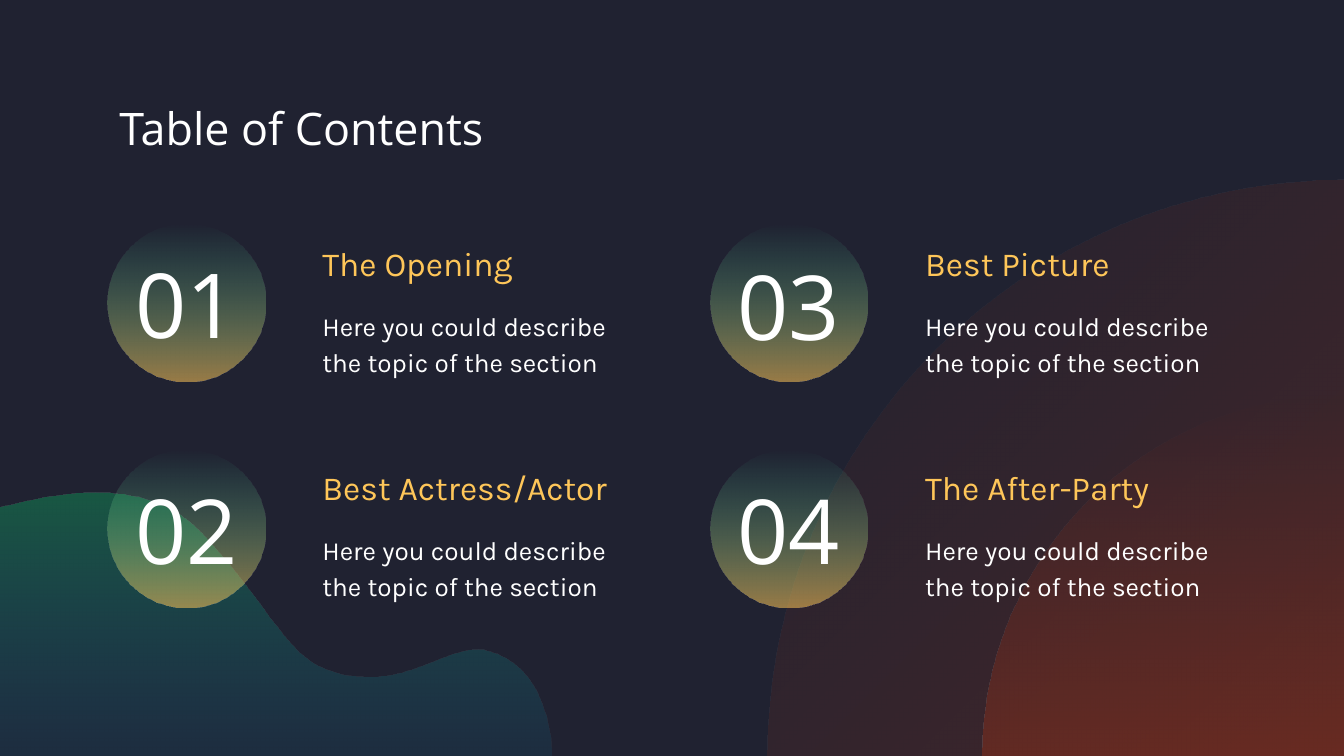
import math
from dataclasses import dataclass

import lxml.etree
import pptx
import pptx.dml.color
import pptx.enum.shapes
import pptx.enum.text
import pptx.oxml.ns
import pptx.util

Pt = pptx.util.Pt
qn = pptx.oxml.ns.qn
Align = pptx.enum.text.PP_ALIGN
Anchor = pptx.enum.text.MSO_ANCHOR
Point = tuple[float, float]


@dataclass(frozen=True)
class TextStyle:
    font: str
    size: float
    color: str
    align: Align = Align.LEFT
    anchor: Anchor = Anchor.TOP
    line_spacing: float = 1.0
    space_after: float = 0


@dataclass(frozen=True)
class Stop:
    color: str
    opacity: int  # percent


@dataclass(frozen=True)
class Gradient:
    start: Stop
    end: Stop
    angle: float  # counter-clockwise, 90 runs from bottom to top


@dataclass(frozen=True)
class Theme:
    background: str = "202231"
    title: TextStyle = TextStyle("Open Sans", 24, "FFFFFF")
    number: TextStyle = TextStyle("Open Sans", 48, "FFFFFF", Align.CENTER, Anchor.MIDDLE)
    heading: TextStyle = TextStyle("Karla", 18, "FEC659", line_spacing=1.15, space_after=16)
    body: TextStyle = TextStyle("Karla", 14, "FFFFFF", line_spacing=1.15, space_after=16)
    badge: Gradient = Gradient(Stop("FEC659", 55), Stop("4AFFC3", 0), 90)
    outer_disc: Gradient = Gradient(Stop("9C3218", 30), Stop("9C3218", 0), 135)
    inner_disc: Gradient = Gradient(Stop("9C3218", 42), Stop("9C3218", 0), 90)
    wave: Gradient = Gradient(Stop("0AC668", 33), Stop("0A94C6", 10), 270)


@dataclass(frozen=True)
class Curve:
    control_1: Point
    control_2: Point
    end: Point


@dataclass(frozen=True)
class Section:
    number: str
    heading: str
    column: int
    row: int
    number_height: float = 87
    body: str = "Here you could describe the topic of the section"


THEME = Theme()
WIDTH, HEIGHT = 720, 405
INSET = 7.2
LEFT, TOP = 57, 119.7
COLUMN_PITCH, ROW_PITCH, BADGE_PITCH = 322.9, 120.2, 121.2
BADGE_SIZE = 84.5

SECTIONS = [
    Section("03", "Best Picture", 1, 0),
    Section("04", "The After-Party", 1, 1),
    Section("01", "The Opening", 0, 0, number_height=85),
    Section("02", "Best Actress/Actor", 0, 1),
]

# Wave outline, from its crest along the right slope to the bottom edge
WAVE_CREST = (51.1, 264)
WAVE_SLOPE = [
    Curve((72, 264), (92.2, 269.3), (107.3, 285.1)),
    Curve((153.4, 334.8), (152.6, 357.8), (190.1, 362.2)),
    Curve((193, 362.6), (195.5, 362.7), (198, 362.7)),
    Curve((223.2, 362.7), (238.3, 347.8), (255.6, 347.8)),
    Curve((260, 347.8), (265, 349.2), (270, 352.1)),
    Curve((295.4, 365.8), (295.4, HEIGHT), (295.4, HEIGHT)),
]
WAVE_RISE = Curve((16, 267.8), (34, 264), WAVE_CREST)


def rgb(color: str) -> pptx.dml.color.RGBColor:
    return pptx.dml.color.RGBColor.from_string(color)


def paint(shape, gradient: Gradient) -> None:
    """Fill a shape with a two-stop translucent gradient, without outline."""
    shape.shadow.inherit = False
    shape.line.fill.background()
    shape.fill.gradient()
    shape.fill.gradient_angle = gradient.angle
    stops = (gradient.start, gradient.end)
    for target, stop in zip(shape.fill.gradient_stops, stops):
        target.color.rgb = rgb(stop.color)
    for color, stop in zip(shape._element.spPr.iter(qn("a:srgbClr")), stops):
        lxml.etree.SubElement(color, qn("a:alpha"), val=str(stop.opacity * 1000))


def write(box, text: str, style: TextStyle) -> None:
    frame = box.text_frame
    frame.word_wrap = True
    frame.auto_size = pptx.enum.text.MSO_AUTO_SIZE.NONE
    frame.vertical_anchor = style.anchor
    frame.margin_left = frame.margin_right = Pt(INSET)
    frame.margin_top = frame.margin_bottom = Pt(INSET)
    para = frame.paragraphs[0]
    para.alignment = style.align
    para.line_spacing = style.line_spacing
    para.space_before = Pt(0)
    para.space_after = Pt(style.space_after)
    span = para.add_run()
    span.text = text
    span.font.name = style.font
    span.font.size = Pt(style.size)
    span.font.color.rgb = rgb(style.color)


def add_text(page, left: float, top: float, width: float, height: float,
             text: str, style: TextStyle) -> None:
    box = page.shapes.add_textbox(Pt(left), Pt(top), Pt(width), Pt(height))
    write(box, text, style)


def add_outline(page, start: Point, parts: list[Curve | Point], gradient: Gradient) -> None:
    """Draw a closed outline of straight lines (points) and Bézier curves."""
    ends = [part.end if isinstance(part, Curve) else part for part in parts]
    builder = page.shapes.build_freeform(Pt(start[0]), Pt(start[1]))
    builder.add_line_segments([(Pt(x), Pt(y)) for x, y in ends], close=True)
    shape = builder.convert_to_shape()

    # Turn the line to each curve's end into a cubic segment
    lines = list(shape._element.spPr.iter(qn("a:lnTo")))
    for line, part in zip(lines, parts):
        if isinstance(part, Curve):
            segment = lxml.etree.Element(qn("a:cubicBezTo"))
            for x, y in (part.control_1, part.control_2):
                lxml.etree.SubElement(segment, qn("a:pt"),
                                      x=str(Pt(x) - shape.left), y=str(Pt(y) - shape.top))
            segment.append(line[0])
            line.getparent().replace(line, segment)
    paint(shape, gradient)


def add_quarter_disc(page, radius: float, gradient: Gradient) -> None:
    """Draw a quarter disc centred on the bottom right corner of the page."""
    reach = radius * 4 / 3 * (math.sqrt(2) - 1)
    left, top = WIDTH - radius, HEIGHT - radius
    arc = Curve((WIDTH - reach, top), (left, HEIGHT - reach), (left, HEIGHT))
    add_outline(page, (WIDTH, HEIGHT), [(WIDTH, top), arc], gradient)


def add_section(page, section: Section) -> None:
    left = LEFT + section.column * COLUMN_PITCH
    top = TOP + section.row * ROW_PITCH
    badge_top = TOP + section.row * BADGE_PITCH
    badge = page.shapes.add_shape(
        pptx.enum.shapes.MSO_SHAPE.OVAL,
        Pt(left + 0.5), Pt(badge_top), Pt(BADGE_SIZE), Pt(BADGE_SIZE))
    paint(badge, THEME.badge)
    add_text(page, left, top, 85.6, section.number_height, section.number, THEME.number)
    add_text(page, left + 108.6, top, 171.4, 36.7, section.heading, THEME.heading)
    add_text(page, left + 108.6, top + 36.7, 171.4, 47.5, section.body, THEME.body)


def main() -> None:
    deck = pptx.Presentation()
    deck.slide_width, deck.slide_height = Pt(WIDTH), Pt(HEIGHT)
    page = deck.slides.add_slide(deck.slide_layouts[5])
    page.background.fill.solid()
    page.background.fill.fore_color.rgb = rgb(THEME.background)

    # Title
    title = page.shapes.title
    title.left, title.top, title.width, title.height = Pt(56.8), Pt(46.8), Pt(295.2), Pt(53.3)
    write(title, "Table of Contents", THEME.title)

    # Background decoration
    add_quarter_disc(page, 308.6, THEME.outer_disc)
    add_quarter_disc(page, 193.7, THEME.inner_disc)
    add_outline(page, WAVE_CREST, [*WAVE_SLOPE, (0, HEIGHT), (0, 272), WAVE_RISE], THEME.wave)

    # Numbered sections
    for section in SECTIONS:
        add_section(page, section)

    deck.save("out.pptx")


if __name__ == "__main__":
    main()
